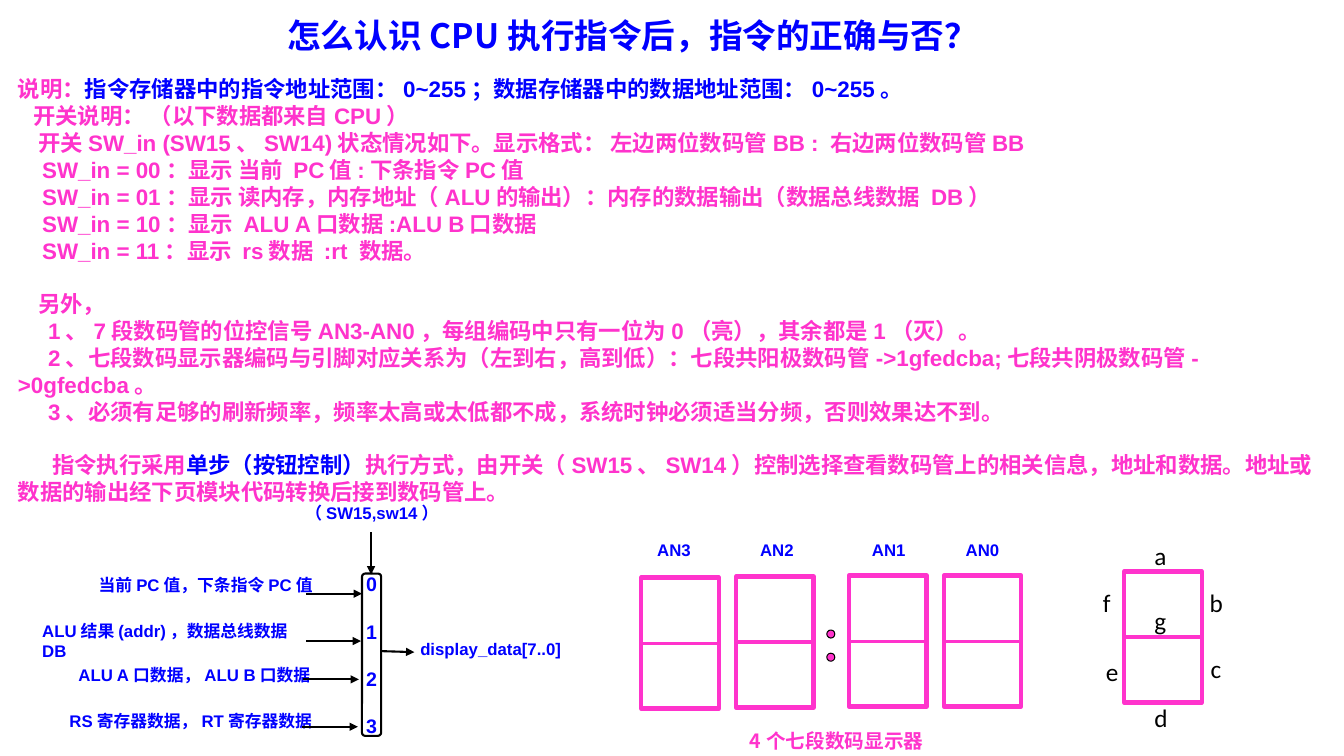
import dataclasses

import lxml.etree
import pptx
import pptx.dml.color
import pptx.enum.shapes
import pptx.enum.text
import pptx.oxml.ns
import pptx.util

Inches = pptx.util.Inches
Pt = pptx.util.Pt
Shape = pptx.enum.shapes.MSO_SHAPE
Anchor = pptx.enum.text.MSO_ANCHOR
Align = pptx.enum.text.PP_ALIGN
qn = pptx.oxml.ns.qn


@dataclasses.dataclass(frozen=True)
class Theme:
    """Colours, fonts and type sizes of the slide."""
    blue: str = "0000FF"
    pink: str = "FF33CC"
    black: str = "000000"
    white: str = "FFFFFF"
    latin: str = "Arial"
    chinese: str = "Noto Sans CJK SC"
    segment: str = "Calibri"
    title: int = 24
    segment_size: int = 18
    body: int = 16
    caption: int = 14
    label: int = 12
    leading: float = 1.2


class SlideBuilder:
    """Draws styled elements on one slide."""

    def __init__(self, page, theme):
        """Keep the slide and its style."""
        self.page = page
        self.theme = theme

    def style(self, para, size, color, font=None, bold=True):
        """Format a whole paragraph."""
        para.font.name = font or self.theme.latin
        para.font.size = Pt(size)
        para.font.bold = bold
        para.font.color.rgb = pptx.dml.color.RGBColor.from_string(color)
        para.line_spacing = Pt(size * self.theme.leading)

    def title(self, text, left, top, width, height):
        """Place and format the title placeholder."""
        box = self.page.shapes.title
        box.left, box.top = Inches(left), Inches(top)
        box.width, box.height = Inches(width), Inches(height)
        frame = box.text_frame
        frame.text = text
        frame.vertical_anchor = Anchor.TOP
        frame.auto_size = pptx.enum.text.MSO_AUTO_SIZE.NONE
        para = frame.paragraphs[0]
        para.alignment = Align.LEFT
        self.style(para, self.theme.title, self.theme.blue, self.theme.chinese)

    def text(self, text, left, top, width, height, size=None, color=None,
             font=None, bold=True):
        """Add a one-paragraph text box."""
        box = self.page.shapes.add_textbox(
            Inches(left), Inches(top), Inches(width), Inches(height))
        box.text_frame.word_wrap = True
        para = box.text_frame.paragraphs[0]
        para.text = text
        self.style(para, size or self.theme.label, color or self.theme.blue,
                   font, bold)

    def body(self, lines, left, top, width, height):
        """Add indented lines; each is (indent, starts a block, spans)."""
        size = self.theme.body
        box = self.page.shapes.add_textbox(
            Inches(left), Inches(top), Inches(width), Inches(height))
        frame = box.text_frame
        frame.word_wrap = True
        for index, (indent, new_block, spans) in enumerate(lines):
            para = frame.add_paragraph() if index else frame.paragraphs[0]
            self.style(para, size, self.theme.pink)
            para._p.get_or_add_pPr().set("indent", str(Inches(indent)))
            if new_block:
                para.space_before = Pt(size * self.theme.leading)
            for content, color in spans:
                span = para.add_run()
                span.text = content
                span.font.color.rgb = pptx.dml.color.RGBColor.from_string(color)

    def shape(self, kind, left, top, width, height, fill, line, weight,
              parent=None):
        """Add a filled and outlined preset shape."""
        shape = (parent or self.page).shapes.add_shape(
            kind, Inches(left), Inches(top), Inches(width), Inches(height))
        shape.shadow.inherit = False
        shape.fill.solid()
        shape.fill.fore_color.rgb = pptx.dml.color.RGBColor.from_string(fill)
        shape.line.color.rgb = pptx.dml.color.RGBColor.from_string(line)
        shape.line.width = Pt(weight)
        return shape

    def line(self, start, end, color, weight, arrow=False, parent=None):
        """Add a straight line, with an arrowhead at its end if asked."""
        line = (parent or self.page).shapes.add_connector(
            pptx.enum.shapes.MSO_CONNECTOR.STRAIGHT,
            *(Inches(value) for value in (*start, *end)))
        line.line.color.rgb = pptx.dml.color.RGBColor.from_string(color)
        line.line.width = Pt(weight)
        if arrow:
            lxml.etree.SubElement(
                line.line._get_or_add_ln(), qn("a:tailEnd"), type="triangle")
        lxml.etree.SubElement(line._element.spPr, qn("a:effectLst"))

    def arrow(self, start, end):
        """Add a black signal arrow."""
        self.line(start, end, self.theme.black, 1.5, arrow=True)

    def digit(self, left, top):
        """Add a grouped seven-segment digit."""
        width, height = 0.77, 1.3
        group = self.page.shapes.add_group_shape()
        self.shape(Shape.RECTANGLE, left, top, width, height,
                   self.theme.white, self.theme.pink, 3, group)
        middle = top + height / 2
        self.line((left, middle), (left + width, middle),
                  self.theme.pink, 2.25, parent=group)

    def multiplexer(self, inputs, left, top, width, height):
        """Add the selector block with its input numbers."""
        size = self.theme.caption
        block = self.shape(Shape.ROUNDED_RECTANGLE, left, top, width, height,
                           self.theme.white, self.theme.black, 1.5)
        frame = block.text_frame
        frame.word_wrap = False
        frame.vertical_anchor = Anchor.MIDDLE
        for index in range(inputs):
            para = frame.add_paragraph() if index else frame.paragraphs[0]
            para.text = str(index)
            para.alignment = Align.CENTER
            self.style(para, size, self.theme.blue)
            if index:
                para.space_before = Pt(size * self.theme.leading)


def explanation(theme):
    """Return the lines of the explanatory text."""
    pink, blue = theme.pink, theme.blue
    plain = [
        (0.15, False, "开关说明： （以下数据都来自CPU）"),
        (0.2, False, "开关SW_in (SW15、SW14)状态情况如下。显示格式： "
                     "左边两位数码管BB : 右边两位数码管BB"),
        (0.24, False, "SW_in = 00：显示 当前 PC值:下条指令PC值"),
        (0.24, False, "SW_in = 01：显示 读内存，内存地址（ALU的输出）："
                      "内存的数据输出（数据总线数据 DB）"),
        (0.24, False, "SW_in = 10：显示 ALU A口数据:ALU B口数据"),
        (0.24, False, "SW_in = 11：显示 rs数据 :rt 数据。"),
        (0.2, True, "另外，"),
        (0.3, False, "1、7段数码管的位控信号AN3-AN0，每组编码中只有一位为0（亮），"
                     "其余都是1（灭）。"),
        (0.3, False, "2、七段数码显示器编码与引脚对应关系为（左到右，高到低）："
                     "七段共阳极数码管->1gfedcba;七段共阴极数码管->0gfedcba。"),
        (0.3, False, "3、必须有足够的刷新频率，频率太高或太低都不成，"
                     "系统时钟必须适当分频，否则效果达不到。"),
    ]
    opening = (0, False, [
        ("说明：", pink),
        ("指令存储器中的指令地址范围：0~255；数据存储器中的数据地址范围：0~255。", blue)])
    closing = (0.34, True, [
        ("指令执行采用", pink), ("单步（按钮控制）", blue),
        ("执行方式，由开关（SW15、SW14）控制选择查看数码管上的相关信息，地址和数据。"
         "地址或数据的输出经下页模块代码转换后接到数码管上。", pink)])
    middle = [(indent, block, [(text, pink)]) for indent, block, text in plain]
    return [opening, *middle, closing]


def build():
    """Build the slide and save the deck."""
    theme = Theme()
    deck = pptx.Presentation()
    deck.slide_width, deck.slide_height = Inches(13.33), Inches(7.5)
    page = deck.slides.add_slide(deck.slide_layouts[5])
    slide = SlideBuilder(page, theme)

    slide.title("怎么认识CPU执行指令后，指令的正确与否？", 2.75, 0.1, 7.96, 0.5)
    slide.body(explanation(theme), 0.08, 0.7, 13.07, 4.37)

    for name, label_left, left, top in (
            ("AN3", 6.42, 6.36, 5.73), ("AN2", 7.44, 7.3, 5.72),
            ("AN1", 8.55, 8.42, 5.71), ("AN0", 9.48, 9.36, 5.71)):
        slide.digit(left, top)
        slide.text(name, label_left, 5.31, 0.65, 0.3)
    for top in (6.25, 6.48):
        slide.shape(Shape.OVAL, 8.2, top, 0.08, 0.08,
                    theme.pink, theme.black, 0.75)
    slide.text("4个七段数码显示器", 7.34, 7.18, 2.33, 0.33,
               theme.caption, theme.pink, theme.chinese)

    slide.digit(11.15, 5.67)
    for name, left, top in (
            ("a", 11.35, 5.31), ("b", 11.9, 5.78), ("c", 11.91, 6.43),
            ("d", 11.35, 6.92), ("e", 10.87, 6.46), ("f", 10.84, 5.78),
            ("g", 11.35, 5.96)):
        slide.text(name, left, top, 0.33, 0.4, theme.segment_size,
                   theme.black, theme.segment, bold=False)

    slide.multiplexer(4, 3.59, 5.69, 0.19, 1.61)
    for name, left, top, width, start, end, level in (
            ("当前PC值，下条指令PC值", 0.88, 5.65, 2.75, 3.04, 3.59, 5.89),
            ("ALU结果(addr)，数据总线数据DB", 0.32, 6.11, 2.82, 3.04, 3.58, 6.36),
            ("ALU A口数据，ALU B口数据", 0.68, 6.55, 2.72, 3.01, 3.56, 6.74),
            ("RS寄存器数据，RT寄存器数据", 0.59, 7, 2.78, 3, 3.55, 7.21)):
        slide.text(name, left, top, width, 0.3)
        slide.arrow((start, level), (end, level))
    slide.text("（SW15,sw14）", 2.93, 4.94, 1.63, 0.3)
    slide.arrow((3.68, 5.28), (3.68, 5.7))
    slide.text("display_data[7..0]", 4.07, 6.29, 1.7, 0.3)
    slide.arrow((3.79, 6.46), (4.11, 6.47))

    deck.save("out.pptx")


build()
